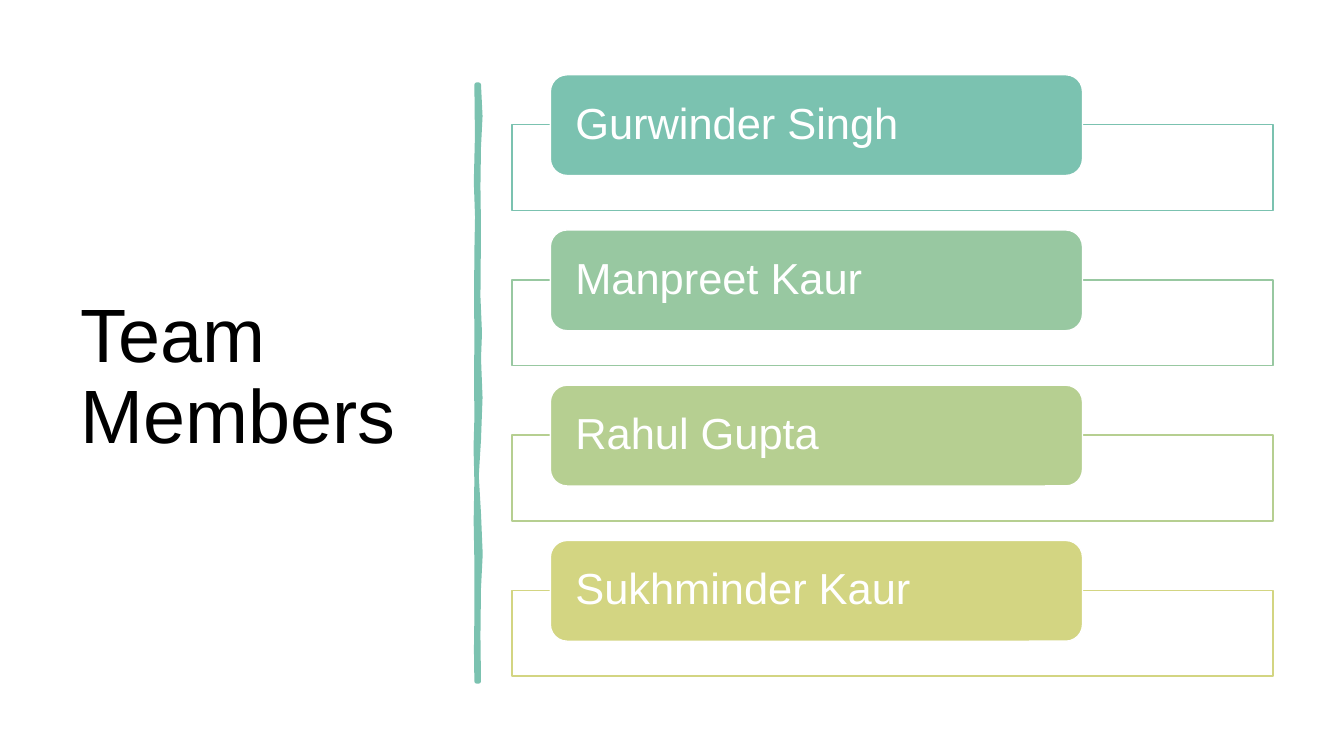
from dataclasses import dataclass

import lxml.etree
import pptx
import pptx.dml.color
import pptx.enum.shapes
import pptx.enum.text
import pptx.oxml.ns
import pptx.util

Pt = pptx.util.Pt
SHAPES = pptx.enum.shapes.MSO_SHAPE


@dataclass(frozen=True)
class Theme:
    font: str = "Arial"
    title_size: float = 54
    name_size: float = 31
    ink: str = "000000"
    paper: str = "FFFFFF"
    accents: tuple = ("7BC2B0", "98C8A1", "B6CF91", "D3D582")


MEMBERS = ("Gurwinder Singh", "Manpreet Kaur", "Rahul Gupta", "Sukhminder Kaur")
ROW_PITCH = 110.88
FRAME = (365.76, 89.1, 543.6, 61.2)
PILL = (393.12, 53.4, 380.16, 72)

# The brush stroke: x, y down the right edge, then back up the left edge.
STROKE_RIGHT = (
    (342, 60.5), (343.1, 83), (342, 105), (341.6, 133), (342, 163),
    (341.6, 212), (342.7, 238), (342, 256), (343.1, 284), (342, 314),
    (340.4, 340), (342, 367), (343.2, 396), (342, 420), (341.6, 454),
    (342, 486.7),
)
STROKE_LEFT = (
    (340.5, 486.7), (340.2, 464), (340.5, 441), (340.5, 401), (340, 372),
    (340.5, 343), (339.9, 320), (340.5, 299), (340.3, 270), (340.5, 241),
    (340.3, 210), (340.5, 180), (341, 155), (340.1, 130), (340.9, 97),
    (340.5, 60.5),
)


def rgb(code):
    return pptx.dml.color.RGBColor.from_string(code)


class Page:
    def __init__(self, slide, theme):
        self.slide = slide
        self.theme = theme

    def paint(self, shape, fill, line, width, opacity=100):
        shape.shadow.inherit = False
        shape.fill.solid()
        shape.fill.fore_color.rgb = rgb(fill)
        shape.line.color.rgb = rgb(line)
        shape.line.width = Pt(width)
        if opacity < 100:
            color = shape.element.spPr.find(
                "/".join(map(pptx.oxml.ns.qn, ("a:solidFill", "a:srgbClr"))))
            alpha = lxml.etree.SubElement(color, pptx.oxml.ns.qn("a:alpha"))
            alpha.set("val", str(opacity * 1000))

    def label(self, shape, text, size, color, space_after):
        """Set one left-aligned, vertically centred paragraph."""
        frame = shape.text_frame
        frame.text = text
        frame.word_wrap = True
        frame.auto_size = pptx.enum.text.MSO_AUTO_SIZE.NONE
        frame.vertical_anchor = pptx.enum.text.MSO_ANCHOR.MIDDLE
        para = frame.paragraphs[0]
        para.alignment = pptx.enum.text.PP_ALIGN.LEFT
        para.line_spacing = 0.9
        para.space_before = Pt(0)
        para.space_after = Pt(space_after)
        span = para.runs[0]
        span.font.name = self.theme.font
        span.font.size = Pt(size)
        span.font.color.rgb = rgb(color)

    def title(self, text, left, top, width, height):
        title = self.slide.shapes.title
        title.left, title.top = Pt(left), Pt(top)
        title.width, title.height = Pt(width), Pt(height)
        self.label(title, text, self.theme.title_size, self.theme.ink, 6)

    def brush_stroke(self, points, color):
        corners = [(Pt(x), Pt(y)) for x, y in points]
        builder = self.slide.shapes.build_freeform(*corners[0])
        builder.add_line_segments(corners[1:], close=True)
        self.paint(builder.convert_to_shape(), color, color, 3.25)

    def member(self, name, color, drop):
        """Draw an outlined frame with a name pill, moved down by drop."""
        shapes = []
        for kind, (left, top, width, height) in (
            (SHAPES.RECTANGLE, FRAME),
            (SHAPES.ROUNDED_RECTANGLE, PILL),
        ):
            shapes.append(self.slide.shapes.add_shape(
                kind, Pt(left), Pt(top + drop), Pt(width), Pt(height)))
        frame, pill = shapes
        self.paint(frame, self.theme.paper, color, 1, opacity=90)
        self.paint(pill, color, self.theme.paper, 1)
        self.label(pill, name, self.theme.name_size, self.theme.paper, 0)
        text = pill.text_frame
        text.margin_left = text.margin_right = Pt(14.4)
        text.margin_top = text.margin_bottom = Pt(0)


def main():
    deck = pptx.Presentation()
    deck.slide_width, deck.slide_height = Pt(960), Pt(540)
    theme = Theme()
    title_only = deck.slide_layouts.get_by_name("Title Only")
    page = Page(deck.slides.add_slide(title_only), theme)

    page.title("Team Members", 50.4, 50.4, 269.28, 439.92)
    page.brush_stroke(STROKE_RIGHT + STROKE_LEFT, theme.accents[0])
    for row, (name, color) in enumerate(zip(MEMBERS, theme.accents)):
        page.member(name, color, row * ROW_PITCH)

    deck.save("out.pptx")


if __name__ == "__main__":
    main()
